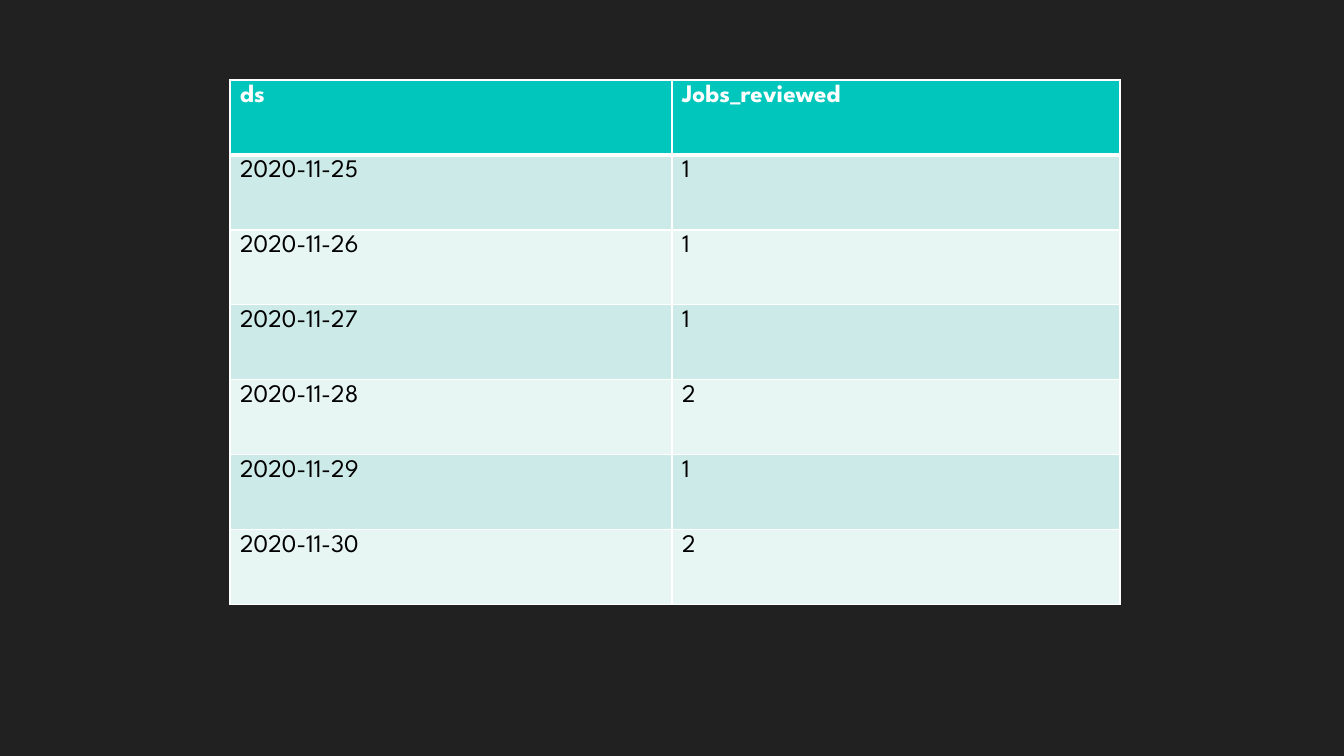
from dataclasses import dataclass

from lxml import etree
from pptx import Presentation
from pptx.dml.color import RGBColor
from pptx.enum.text import MSO_ANCHOR
from pptx.oxml.ns import qn
from pptx.util import Pt

TOP = MSO_ANCHOR.TOP
EMU_PER_PIXEL = 914400 / 100.8


@dataclass(frozen=True)
class Theme:
    background: str = "212121"
    header_fill: str = "00C6BB"
    band_fills: tuple = ("E7F5F3", "CCEAE7")
    header_text: str = "FFFFFF"
    body_text: str = "000000"
    border: str = "FFFFFF"
    font: str = "League Spartan"
    text_size: int = 18
    border_width: int = 1
    header_rule_width: int = 3


theme = Theme()


def px(pixels):
    return round(pixels * EMU_PER_PIXEL)


def add_borders(cell, widths):
    properties = cell._tc.get_or_add_tcPr()
    for position, (side, width) in enumerate(widths.items()):
        line = etree.Element(qn(f"a:ln{side}"), w=str(Pt(width)))
        fill = etree.SubElement(line, qn("a:solidFill"))
        etree.SubElement(fill, qn("a:srgbClr"), val=theme.border)
        properties.insert(position, line)


records = [
    ("ds", "Jobs_reviewed"),
    ("2020-11-25", "1"),
    ("2020-11-26", "1"),
    ("2020-11-27", "1"),
    ("2020-11-28", "2"),
    ("2020-11-29", "1"),
    ("2020-11-30", "2"),
]
column_widths = (442, 448)
row_height = 75

presentation = Presentation()
presentation.slide_width = px(1344)
presentation.slide_height = px(756)
slide = presentation.slides.add_slide(presentation.slide_layouts[6])
slide.background.fill.solid()
slide.background.fill.fore_color.rgb = RGBColor.from_string(theme.background)

table = slide.shapes.add_table(
    len(records), len(column_widths), px(230), px(80),
    px(sum(column_widths)), px(row_height * len(records)),
).table
for column, width in zip(table.columns, column_widths):
    column.width = px(width)

for row_index, record in enumerate(records):
    table.rows[row_index].height = px(row_height)
    is_header = row_index == 0
    fill_color = theme.header_fill if is_header else theme.band_fills[row_index % 2]
    text_color = theme.header_text if is_header else theme.body_text
    widths = dict.fromkeys("LRTB", theme.border_width)
    if is_header:
        widths["B"] = theme.header_rule_width
    elif row_index == 1:
        widths["T"] = theme.header_rule_width

    for column_index, value in enumerate(record):
        cell = table.cell(row_index, column_index)
        cell.vertical_anchor = TOP
        cell.fill.solid()
        cell.fill.fore_color.rgb = RGBColor.from_string(fill_color)
        add_borders(cell, widths)
        run = cell.text_frame.paragraphs[0].add_run()
        run.text = value
        run.font.name = theme.font
        run.font.size = Pt(theme.text_size)
        run.font.bold = is_header
        run.font.color.rgb = RGBColor.from_string(text_color)

presentation.save("out.pptx")
